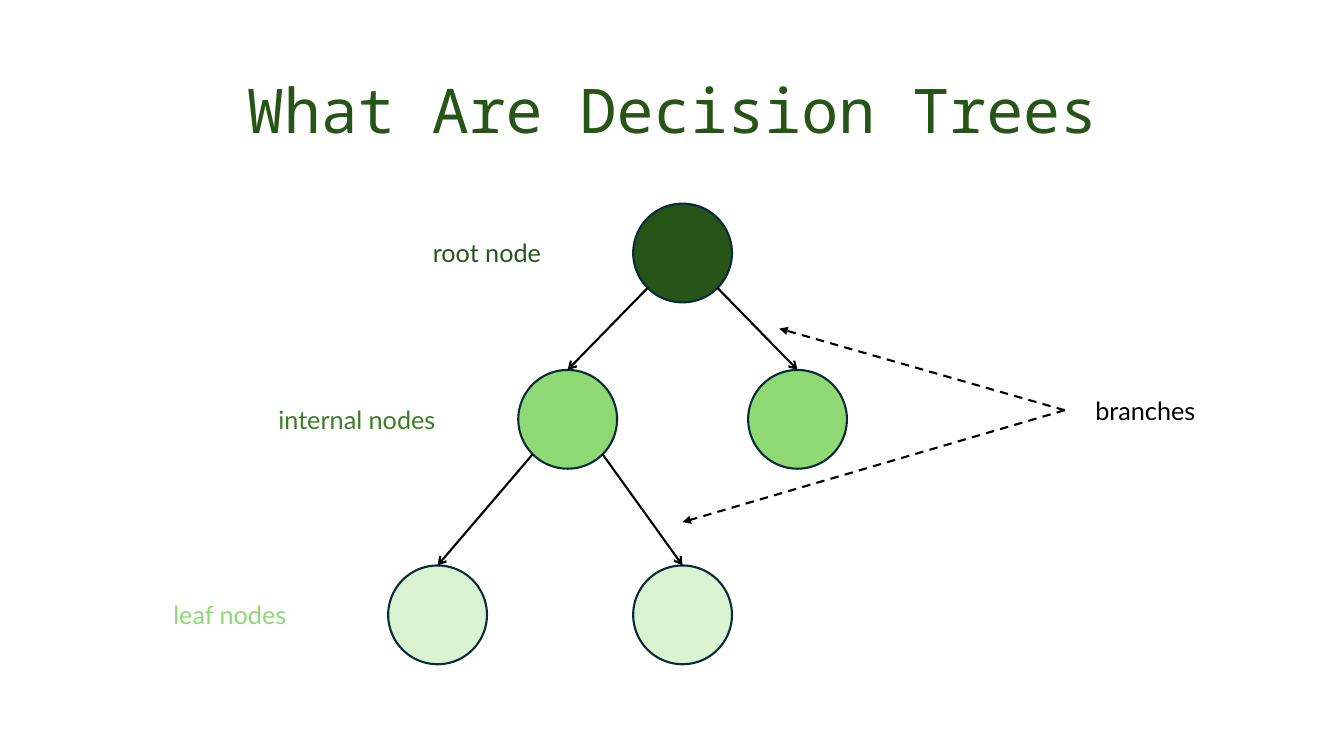
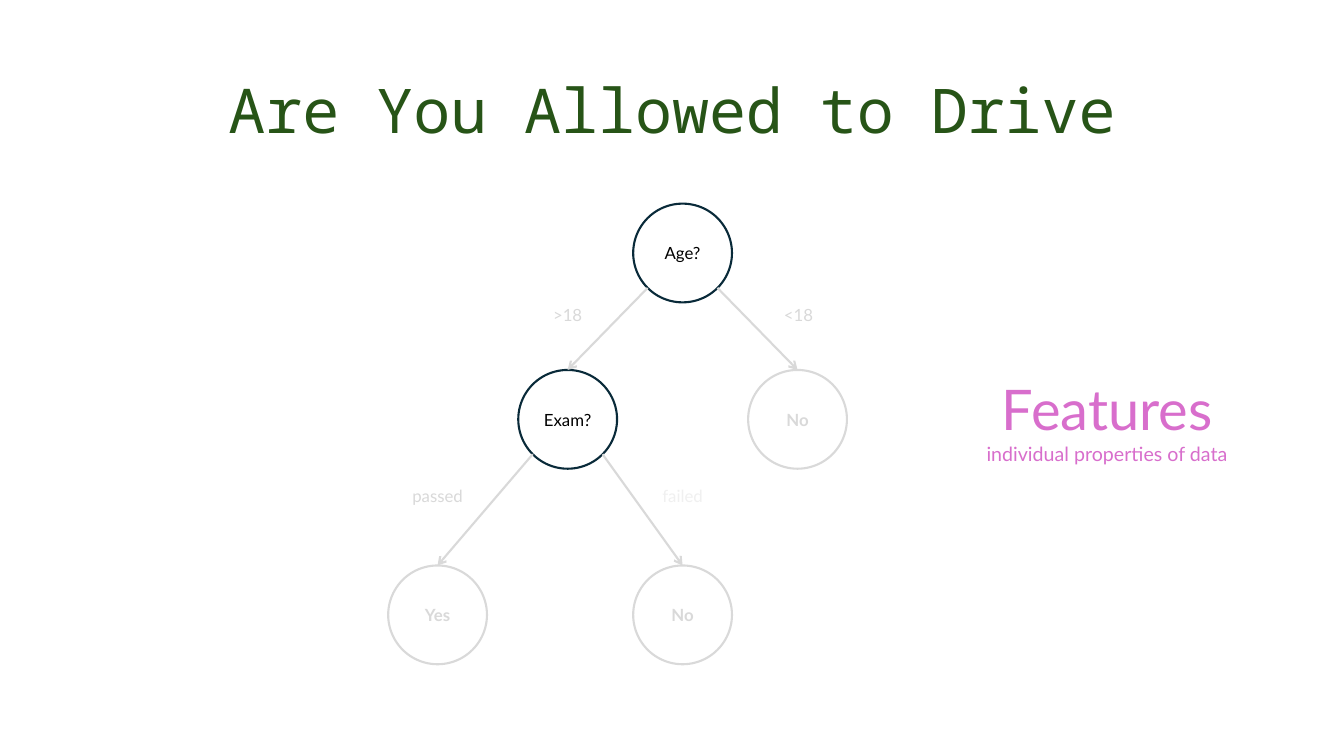
from dataclasses import dataclass
from math import sqrt

from lxml import etree
from pptx import Presentation
from pptx.dml.color import RGBColor
from pptx.enum import dml, shapes, text
from pptx.oxml import ns
from pptx.util import Inches, Pt

HUES = {
    "deep": "275417",
    "mid": "3B7D23",
    "leaf": "8ED973",
    "pale": "D9F2D0",
    "edge": "092A39",
    "ink": "000000",
    "dim": "D9D9D9",
    "faint": "F0F0F0",
    "pink": "D86ECC",
}
SANS = "Lato"
MONO = "Noto Sans Mono"
SIZE = 0.98
SPOTS = {
    "root": (6.77, 2.51),
    "right": (7.91, 4.16),
    "left": (5.63, 4.16),
    "no": (6.77, 6.1),
    "yes": (4.34, 6.1),
}
LINKS = [("root", "left", -1), ("root", "right", 1),
         ("left", "no", 1), ("left", "yes", -1)]


@dataclass
class Node:
    spot: str
    edge: str = "edge"
    fill: str | None = None
    words: str = ""
    hue: str = "ink"
    bold: bool = False


@dataclass
class Line:
    words: str
    size: float
    hue: str


@dataclass
class Label:
    x: float
    y: float
    width: float
    height: float
    lines: list[Line]


def color(name: str) -> RGBColor:
    return RGBColor.from_string(HUES[name])


def style(para, size: float, hue: str, face: str = SANS, bold: bool = False) -> None:
    para.alignment = text.PP_ALIGN.CENTER
    para.font.name = face
    para.font.size = Pt(size)
    para.font.bold = bold
    para.font.color.rgb = color(hue)


def add_slide(deck, title: str):
    slide = deck.slides.add_slide(deck.slide_layouts[5])
    head = slide.shapes.title
    head.left, head.top = Inches(0.92), Inches(0.4)
    head.width, head.height = Inches(11.5), Inches(1.45)
    head.text_frame.text = title
    head.text_frame.vertical_anchor = text.MSO_ANCHOR.MIDDLE
    para = head.text_frame.paragraphs[0]
    style(para, 44, "deep", MONO)
    para.line_spacing = 0.9
    return slide


def outline(run, hue: str) -> None:
    line = etree.Element(ns.qn("a:ln"), w=str(Pt(0.75)))
    fill = etree.SubElement(line, ns.qn("a:solidFill"))
    etree.SubElement(fill, ns.qn("a:srgbClr"), val=HUES[hue])
    run._r.get_or_add_rPr().insert(0, line)


def add_node(slide, node: Node):
    x, y = SPOTS[node.spot]
    disc = slide.shapes.add_shape(
        shapes.MSO_SHAPE.FLOWCHART_CONNECTOR,
        Inches(x - SIZE / 2), Inches(y - SIZE / 2), Inches(SIZE), Inches(SIZE))
    disc.shadow.inherit = False
    disc.line.color.rgb = color(node.edge)
    disc.line.width = Pt(1.5)
    if node.fill:
        disc.fill.solid()
        disc.fill.fore_color.rgb = color(node.fill)
    else:
        disc.fill.background()
    if node.words:
        disc.text_frame.text = node.words
        para = disc.text_frame.paragraphs[0]
        style(para, 12, node.hue, bold=node.bold)
        if node.bold:
            outline(para.runs[0], node.hue)
    return disc


def add_arrow(slide, start: tuple[float, float], end: tuple[float, float],
              hue: str, tip: str = "arrow", dash: bool = False):
    arrow = slide.shapes.add_connector(
        shapes.MSO_CONNECTOR.STRAIGHT, *map(Inches, start + end))
    arrow.line.color.rgb = color(hue)
    arrow.line.width = Pt(1.5)
    if dash:
        arrow.line.dash_style = dml.MSO_LINE.DASH
    etree.SubElement(arrow.line._get_or_add_ln(), ns.qn("a:tailEnd"), type=tip)
    etree.SubElement(arrow._element.spPr, ns.qn("a:effectLst"))
    return arrow


def add_tree(slide, nodes: list[Node], hue: str) -> None:
    discs = {node.spot: add_node(slide, node) for node in nodes}
    reach = SIZE / 2 / sqrt(2)
    for source, goal, side in LINKS:
        x, y = SPOTS[source]
        end_x, end_y = SPOTS[goal]
        arrow = add_arrow(slide, (x + side * reach, y + reach),
                          (end_x, end_y - SIZE / 2), hue)
        arrow.end_connect(discs[goal], 0)


def add_label(slide, label: Label) -> None:
    box = slide.shapes.add_textbox(
        Inches(label.x - label.width / 2), Inches(label.y - label.height / 2),
        Inches(label.width), Inches(label.height))
    frame = box.text_frame
    frame.word_wrap = True
    frame.auto_size = text.MSO_AUTO_SIZE.SHAPE_TO_FIT_TEXT
    frame.vertical_anchor = text.MSO_ANCHOR.MIDDLE
    frame.text = "\n".join(line.words for line in label.lines)
    for para, line in zip(frame.paragraphs, label.lines):
        style(para, line.size, line.hue)


def add_parts(deck) -> None:
    slide = add_slide(deck, "What Are Decision Trees")
    fills = {"root": "deep", "right": "leaf", "left": "leaf",
             "no": "pale", "yes": "pale"}
    add_tree(slide, [Node(spot, fill=fill) for spot, fill in fills.items()], "ink")
    for x, y, words, hue in [
        (4.83, 2.5, "root node", "deep"),
        (3.54, 4.16, "internal nodes", "mid"),
        (2.28, 6.1, "leaf nodes", "leaf"),
        (11.36, 4.07, "branches", "ink"),
    ]:
        add_label(slide, Label(x, y, 2.73, 0.4, [Line(words, 18, hue)]))
    for end in [(6.77, 5.18), (7.73, 3.26)]:
        add_arrow(slide, (10.56, 4.07), end, "ink", "triangle", True)


def add_drive(deck) -> None:
    slide = add_slide(deck, "Are You Allowed to Drive")
    add_tree(slide, [
        Node("root", words="Age?"),
        Node("right", "dim", words="No", hue="dim", bold=True),
        Node("left", words="Exam?"),
        Node("no", "dim", words="No", hue="dim", bold=True),
        Node("yes", "dim", words="Yes", hue="dim", bold=True),
    ], "dim")
    for x, y, words, hue in [
        (4.34, 4.92, "passed", "dim"),
        (6.77, 4.92, "failed", "faint"),
        (7.92, 3.12, "<18", "dim"),
        (5.63, 3.12, ">18", "dim"),
    ]:
        add_label(slide, Label(x, y, 1.41, 0.3, [Line(words, 12, hue)]))
    add_label(slide, Label(10.98, 4.17, 3.15, 1.01, [
        Line("Features", 40, "pink"),
        Line("individual properties of data", 14, "pink"),
    ]))


def main() -> None:
    deck = Presentation()
    deck.slide_width, deck.slide_height = Inches(13.33), Inches(7.5)
    add_parts(deck)
    add_drive(deck)
    deck.save("out.pptx")


if __name__ == "__main__":
    main()
